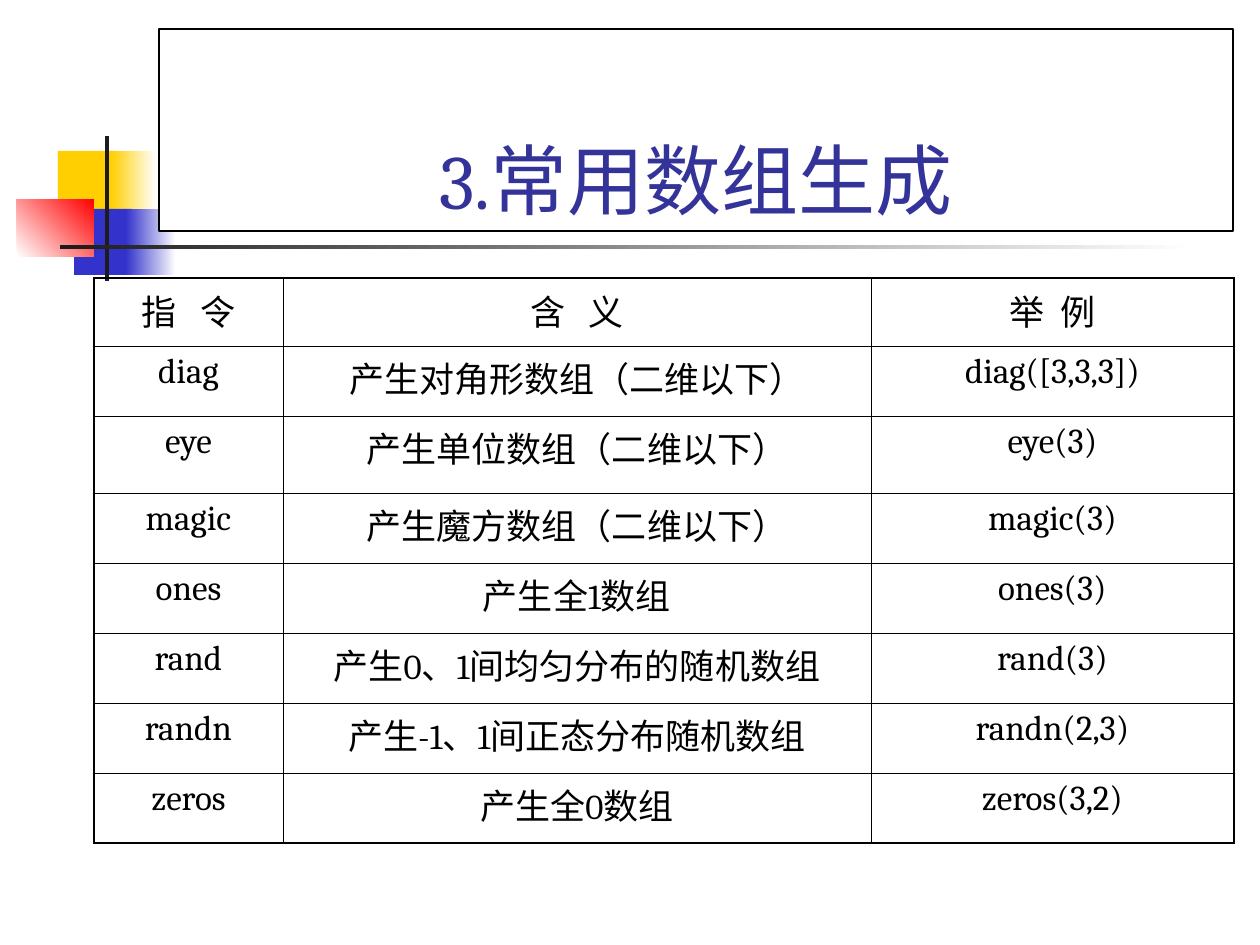
from lxml.etree import SubElement
from pptx import Presentation
from pptx.dml.color import RGBColor
from pptx.enum.shapes import MSO_SHAPE
from pptx.enum.text import MSO_ANCHOR, MSO_AUTO_SIZE, PP_ALIGN
from pptx.oxml.ns import qn
from pptx.util import Emu, Pt

PX_PER_INCH = 126
FONT = "Cambria"
YELLOW, BLUE, RED, DARK = "FFCF01", "3333CC", "FF0000", "1C1C1C"
WHITE, BLACK, TITLE_BLUE = "FFFFFF", "000000", "333399"
THIN, THICK = 0.45, 1.08

COLUMN_WIDTHS = [189, 588, 363]
ROW_HEIGHTS = [68, 70, 77, 70, 70, 70, 70, 70]
HEADER_SPACING = [4.4, 4.4, 2.2]  # points between characters
ROWS = [
    ("指 令", "含 义", "举 例"),
    ("diag", "产生对角形数组（二维以下）", "diag([3,3,3])"),
    ("eye", "产生单位数组（二维以下）", "eye(3)"),
    ("magic", "产生魔方数组（二维以下）", "magic(3)"),
    ("ones", "产生全1数组", "ones(3)"),
    ("rand", "产生0、1间均匀分布的随机数组", "rand(3)"),
    ("randn", "产生-1、1间正态分布随机数组", "randn(2,3)"),
    ("zeros", "产生全0数组", "zeros(3,2)"),
]


def px(length):
    return Emu(round(length * 914400 / PX_PER_INCH))


def color(value):
    return RGBColor.from_string(value)


def format_text(text_frame, size, text_color):
    paragraph = text_frame.paragraphs[0]
    paragraph.alignment = PP_ALIGN.CENTER
    for run in paragraph.runs:
        run.font.name = FONT
        run.font.size = Pt(size)
        run.font.color.rgb = color(text_color)


def add_block(slide, left, top, width, height, start, end=None, angle=0):
    """Add a borderless rectangle, solid or fading from start to end."""
    shape = slide.shapes.add_shape(
        MSO_SHAPE.RECTANGLE, px(left), px(top), px(width), px(height))
    shape.shadow.inherit = False
    shape.line.fill.background()
    if end is None:
        shape.fill.solid()
        shape.fill.fore_color.rgb = color(start)
        return
    shape.fill.gradient()
    shape.fill.gradient_angle = angle
    for stop, value in zip(shape.fill.gradient_stops, (start, end)):
        stop.color.rgb = color(value)


def add_ornament(slide, left, top):
    # Coloured blocks
    add_block(slide, left + 41, top + 15, 60, 66, YELLOW)
    add_block(slide, left + 94, top + 15, 45, 66, YELLOW, WHITE)
    add_block(slide, left + 57, top + 73, 58, 66, BLUE)
    add_block(slide, left + 109, top + 73, 50, 66, BLUE, WHITE)
    add_block(slide, left, top + 63, 77, 58, WHITE, RED, angle=45)
    # Crossing bars
    add_block(slide, left + 88, top, 4, 145, DARK)
    add_block(slide, left + 43, top + 109, 1134, 4, DARK, WHITE)


def place_title(slide, left, top, width, height):
    title = slide.shapes.title
    title.left, title.top = px(left), px(top)
    title.width, title.height = px(width), px(height)
    title.fill.solid()
    title.fill.fore_color.rgb = color(WHITE)
    title.line.color.rgb = color(BLACK)
    title.line.width = Pt(0.75)
    text_frame = title.text_frame
    text_frame.text = "3.常用数组生成"
    text_frame.word_wrap = True
    text_frame.auto_size = MSO_AUTO_SIZE.NONE
    text_frame.vertical_anchor = MSO_ANCHOR.BOTTOM
    format_text(text_frame, 44, TITLE_BLUE)
    # Bring the title in front of the ornament
    slide.shapes._spTree.append(title._element)


def set_borders(cell, widths):
    properties = cell._tc.get_or_add_tcPr()
    for side, width in zip("LRTB", widths):
        line = SubElement(properties, qn(f"a:ln{side}"), w=str(Pt(width)))
        fill = SubElement(line, qn("a:solidFill"))
        SubElement(fill, qn("a:srgbClr"), val=BLACK)


def add_command_table(slide, left, top):
    table = slide.shapes.add_table(
        len(ROWS), len(COLUMN_WIDTHS), px(left), px(top),
        px(sum(COLUMN_WIDTHS)), px(sum(ROW_HEIGHTS))).table
    table.first_row = False
    table.horz_banding = False
    for column, width in zip(table.columns, COLUMN_WIDTHS):
        column.width = px(width)
    for row, height in zip(table.rows, ROW_HEIGHTS):
        row.height = px(height)

    last_row, last_column = len(ROWS) - 1, len(COLUMN_WIDTHS) - 1
    for row_index, texts in enumerate(ROWS):
        for column_index, text in enumerate(texts):
            cell = table.cell(row_index, column_index)
            cell.text_frame.text = text
            format_text(cell.text_frame, 20, BLACK)
            # Thick lines on the outer edge only
            outer = (column_index == 0, column_index == last_column,
                     row_index == 0, row_index == last_row)
            set_borders(cell, [THICK if edge else THIN for edge in outer])
            cell.fill.background()

    # Spread the header characters
    for cell, spacing in zip(table.rows[0].cells, HEADER_SPACING):
        run = cell.text_frame.paragraphs[0].runs[0]
        run._r.get_or_add_rPr().set("spc", str(round(spacing * 100)))


def main():
    presentation = Presentation()
    presentation.slide_width = px(1260)
    presentation.slide_height = px(945)
    slide = presentation.slides.add_slide(presentation.slide_layouts[5])
    add_ornament(slide, 17, 136)
    place_title(slide, 159, 29, 1074, 202)
    add_command_table(slide, 94, 278)
    presentation.save("out.pptx")


if __name__ == "__main__":
    main()
